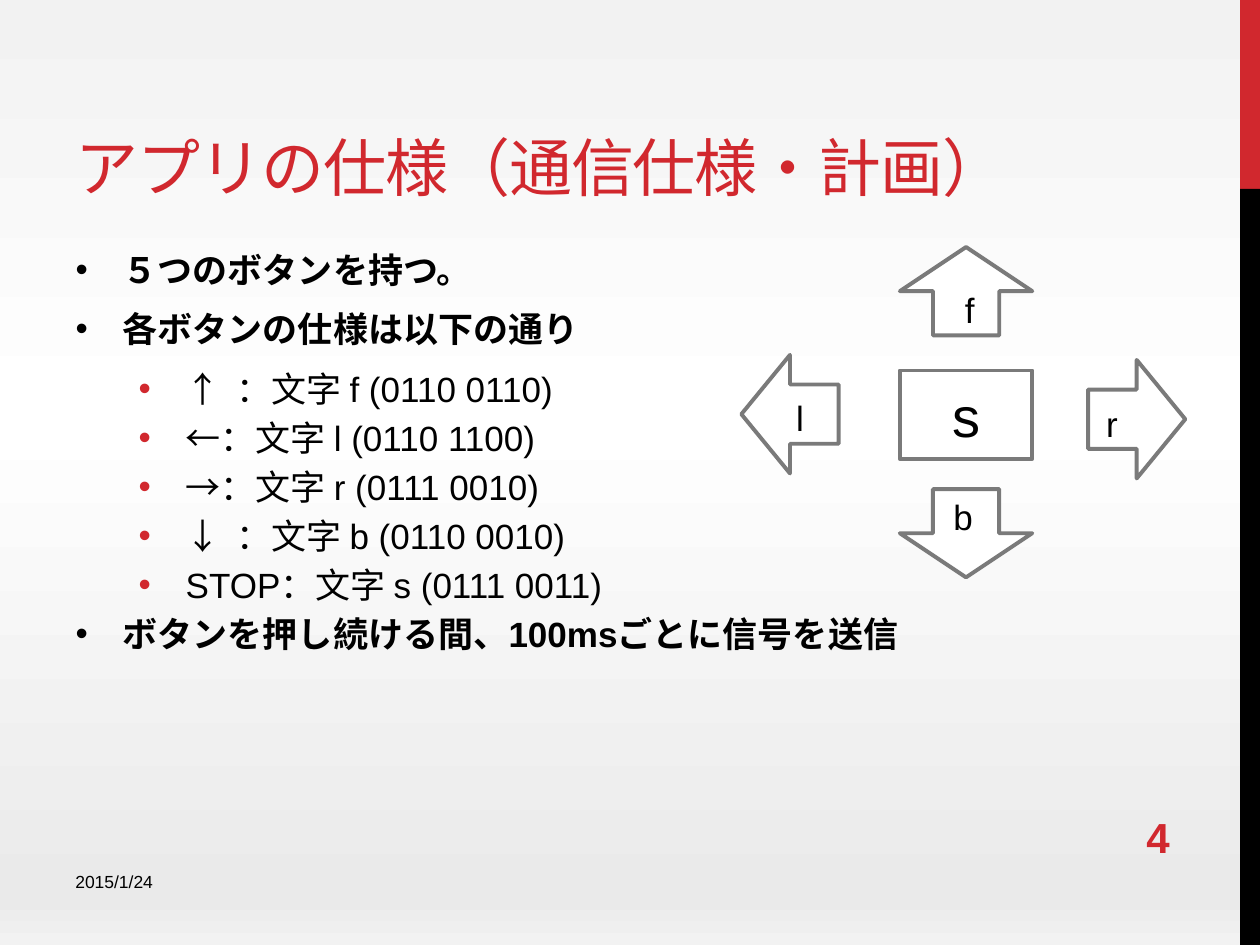
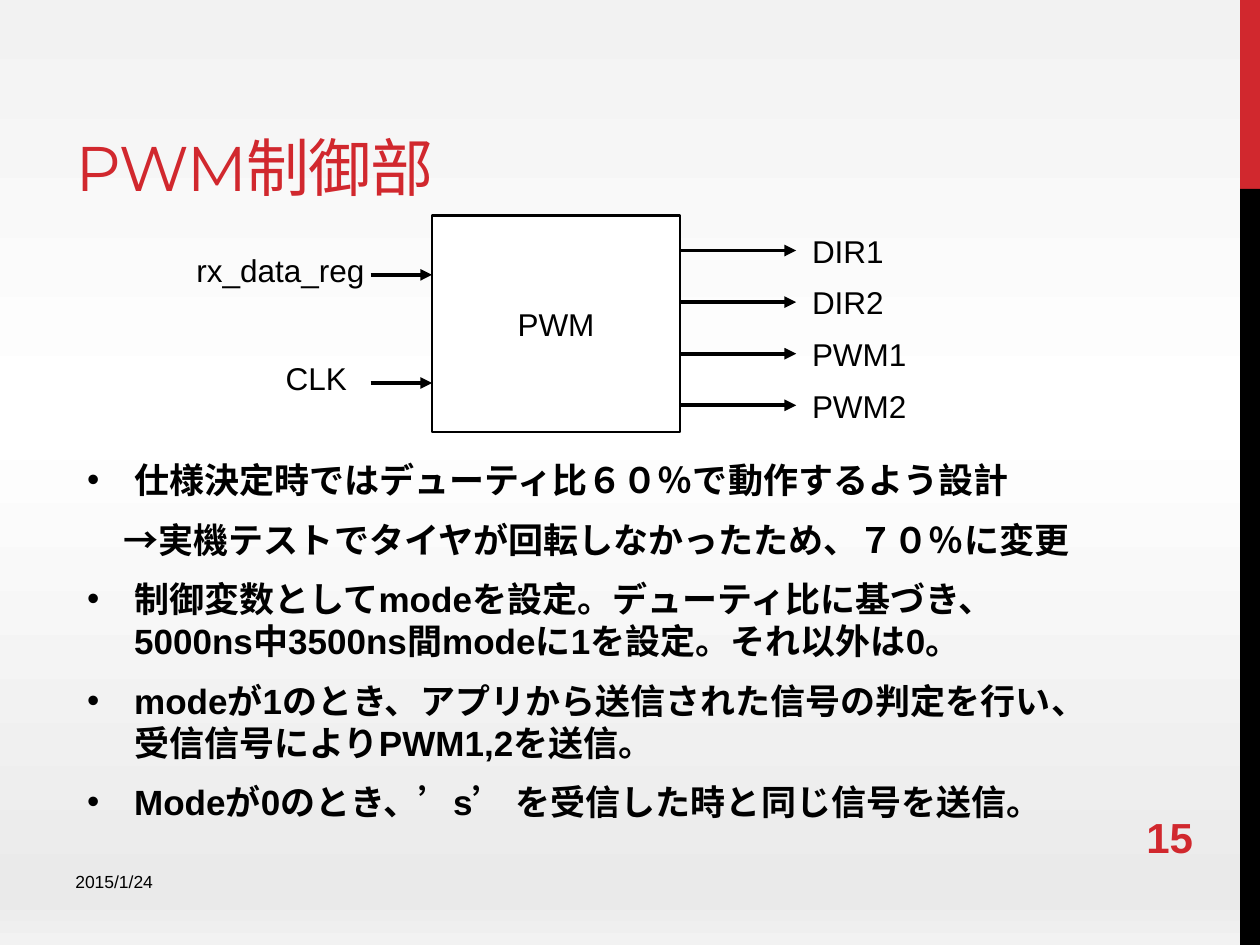
from copy import deepcopy

from lxml import etree
from pptx import Presentation
from pptx import util as u
from pptx.dml.color import RGBColor
from pptx.enum import shapes, text
from pptx.oxml.ns import qn

RED, BLACK, WHITE, GRAY = "D1282E", "000000", "FFFFFF", "7A7A7A"
BACKGROUND = [(0, "F2F2F2"), (0.44, WHITE), (0.95, "EAEAEA"), (1, "F2F2F2")]
BODY_FONT, TITLE_FONT = "Arial", "Montserrat"
DATE = "2015/1/24"
MIDDLE, BOTTOM = text.MSO_ANCHOR.MIDDLE, text.MSO_ANCHOR.BOTTOM
CENTER = text.PP_ALIGN.CENTER


def color(hex_value):
    return RGBColor.from_string(hex_value)


def box(left, top, width, height):
    return [u.Cm(v) for v in (left, top, width, height)]


def place(holder, area):
    holder.left, holder.top, holder.width, holder.height = box(*area)


def write(paragraph, words, size=18, ink=BLACK, bold=False, font=BODY_FONT,
          align=None, tracking=None):
    run = paragraph.add_run()
    run.text = words
    run.font.size, run.font.bold, run.font.name = u.Pt(size), bold, font
    run.font.color.rgb = color(ink)
    paragraph.alignment = align
    if tracking:
        run.font._element.set("spc", str(round(tracking * 100)))


def add_label(slide, words, area, anchor=None, grow=False, **style):
    frame = slide.shapes.add_textbox(*box(*area)).text_frame
    frame.word_wrap = True
    if grow:
        frame.auto_size = text.MSO_AUTO_SIZE.SHAPE_TO_FIT_TEXT
    if anchor is not None:
        frame.vertical_anchor = anchor
    write(frame.paragraphs[0], words, **style)
    return frame


def add_block(slide, kind, area, fill=WHITE, outline=None, weight=2.25,
              rotation=0, words=None, **style):
    block = slide.shapes.add_shape(kind, *box(*area))
    block.shadow.inherit = False
    block.rotation = rotation
    block.fill.solid()
    block.fill.fore_color.rgb = color(fill)
    if outline:
        block.line.color.rgb = color(outline)
        block.line.width = u.Pt(weight)
    else:
        block.line.fill.background()
    if words:
        block.text_frame.vertical_anchor = MIDDLE
        write(block.text_frame.paragraphs[0], words, align=CENTER, **style)
    return block


def add_signal(slide, start, end, y):
    """Draw a horizontal arrow pointing right."""
    signal = slide.shapes.add_connector(
        shapes.MSO_CONNECTOR.STRAIGHT, *box(start, y, end, y))
    signal.line.color.rgb = color(BLACK)
    signal.line.width = u.Pt(2.25)
    etree.SubElement(signal.line._get_or_add_ln(), qn("a:tailEnd"), type="triangle")
    etree.SubElement(signal.element.spPr, qn("a:effectLst"))


def set_bullet(paragraph, indent, hanging, ink=None):
    """Indent a paragraph in cm; without ink it has no bullet."""
    props = paragraph._p.get_or_add_pPr()
    props.set("marL", str(u.Cm(indent)))
    props.set("indent", str(-u.Cm(hanging)))
    if ink is None:
        etree.SubElement(props, qn("a:buNone"))
        return
    bullet_color = etree.SubElement(props, qn("a:buClr"))
    etree.SubElement(bullet_color, qn("a:srgbClr"), val=ink)
    etree.SubElement(props, qn("a:buFont"), typeface=BODY_FONT)
    etree.SubElement(props, qn("a:buChar"), char="•")


def fill_body(slide, area, entries):
    """Entries are (kind, words), with kind main, sub or note."""
    body = slide.placeholders[1]
    place(body, area)
    frame = body.text_frame
    frame.auto_size = text.MSO_AUTO_SIZE.NONE
    bullets = {"main": (0.95, 0.95, BLACK), "sub": (2.22, 0.95, RED),
               "note": (0.74, 0, None)}
    for i, (kind, words) in enumerate(entries):
        paragraph = frame.paragraphs[0] if i == 0 else frame.add_paragraph()
        paragraph.level = 1 if kind == "sub" else 0
        paragraph.space_after = u.Pt(0 if kind == "sub" else 6)
        write(paragraph, words, size=20, bold=kind != "sub")
        set_bullet(paragraph, *bullets[kind])


def set_background(master):
    fill = master.background.fill
    fill.gradient()
    fill.gradient_angle = 270
    stop_list = master.element.find(".//" + qn("a:gsLst"))
    for _ in range(len(BACKGROUND) - len(stop_list)):
        stop_list.append(deepcopy(stop_list[0]))
    for stop, (position, tint) in zip(fill.gradient_stops, BACKGROUND):
        stop.position = position
        stop.color.rgb = color(tint)


def add_side_bands(master, slide):
    """Draw the bands on a slide, then move them to the master."""
    bands = [(0, 3.81, RED), (3.81, 15.24, BLACK)]
    for number, (top, height, fill) in enumerate(bands, start=20):
        band = add_block(slide, shapes.MSO_SHAPE.RECTANGLE,
                         (25, top, 0.4, height), fill=fill)
        band.element.nvSpPr.cNvPr.id = number
        master.shapes.element.append(band.element)


def add_page(deck, title, number, title_width):
    slide = deck.slides.add_slide(deck.slide_layouts[1])
    heading = slide.shapes.title
    place(heading, (1.27, 0.43, title_width, 3.81))
    frame = heading.text_frame
    frame.auto_size = text.MSO_AUTO_SIZE.NONE
    frame.vertical_anchor = BOTTOM
    write(frame.paragraphs[0], title, size=36, ink=RED, font=TITLE_FONT,
          align=text.PP_ALIGN.LEFT, tracking=-0.6)
    date = add_label(slide, DATE, (1.27, 17.15, 9.52, 0.84), anchor=BOTTOM, size=10)
    date.margin_bottom = 0
    add_label(slide, str(number), (22.86, 16.36, 2.54, 1.02), anchor=MIDDLE,
              size=24, ink=RED, bold=True)
    return slide


def add_button_pad(slide):
    vertical, sideways = (2.67, 1.78), (2.39, 1.96)
    buttons = [  # letter, arrow corner, arrow size, rotation, letter corner
        ("l", (14.73, 7.37), sideways, 90, (15.8, 7.87)),
        ("b", (18.14, 9.86), vertical, 0, (18.97, 9.86)),
        ("r", (21.72, 7.47), sideways, 270, (22.05, 7.98)),
        ("f", (18.14, 4.98), vertical, 180, (19.2, 5.69)),
    ]
    for letter, corner, size, rotation, letter_corner in buttons:
        add_block(slide, shapes.MSO_SHAPE.DOWN_ARROW, corner + size,
                  outline=GRAY, rotation=rotation)
        add_label(slide, letter, letter_corner + (0.99, 1.12), grow=True, size=20)
    add_block(slide, shapes.MSO_SHAPE.RECTANGLE, (18.14, 7.47) + vertical,
              outline=GRAY, words="s", size=32)


def add_pwm_diagram(slide):
    left, width = 8.71, 5.0
    right = left + width
    add_block(slide, shapes.MSO_SHAPE.RECTANGLE, (left, 4.34, width, 4.37),
              outline=BLACK, weight=1.5, words="PWM")
    inputs = [("rx_data_reg", 3.71, 4.93, 5.54), ("CLK", 5.51, 2.79, 7.72)]
    for name, name_left, name_width, y in inputs:
        add_label(slide, name, (name_left, y - 0.6, name_width, 0.71), grow=True)
        add_signal(slide, 7.47, left, y)
    for i, name in enumerate(["DIR1", "DIR2", "PWM1", "PWM2"]):
        y = 5.05 + 1.04 * i
        add_signal(slide, right, 16.05, y)
        add_label(slide, name, (16.12, y - 0.5, 2.57, 0.71), grow=True)


def main():
    deck = Presentation()
    deck.slide_width, deck.slide_height = u.Cm(25.4), u.Cm(19.05)
    set_background(deck.slide_master)

    app = add_page(deck, "アプリの仕様（通信仕様・計画）", 4, 22.63)
    add_side_bands(deck.slide_master, app)
    fill_body(app, (1.27, 4.88, 21.16, 12.14), [
        ("main", "５つのボタンを持つ。"),
        ("main", "各ボタンの仕様は以下の通り"),
        ("sub", "↑  ：文字 f (0110 0110)"),
        ("sub", "←：文字 l (0110 1100)"),
        ("sub", "→：文字 r (0111 0010)"),
        ("sub", "↓  ：文字 b (0110 0010)"),
        ("sub", "STOP：文字 s (0111 0011)"),
        ("main", "ボタンを押し続ける間、100msごとに信号を送信"),
    ])
    add_button_pad(app)

    pwm = add_page(deck, "PWM制御部", 15, 16.08)
    fill_body(pwm, (1.5, 9.12, 20.93, 7.9), [
        ("main", "仕様決定時ではデューティ比６０％で動作するよう設計"),
        ("note", "→実機テストでタイヤが回転しなかったため、７０％に変更"),
        ("main", "制御変数としてmodeを設定。デューティ比に基づき、"
                 "5000ns中3500ns間modeに1を設定。それ以外は0。"),
        ("main", "modeが1のとき、アプリから送信された信号の判定を行い、"
                 "受信信号によりPWM1,2を送信。"),
        ("main", "Modeが0のとき、’s’ を受信した時と同じ信号を送信。"),
    ])
    add_pwm_diagram(pwm)
    deck.save("out.pptx")


if __name__ == "__main__":
    main()
